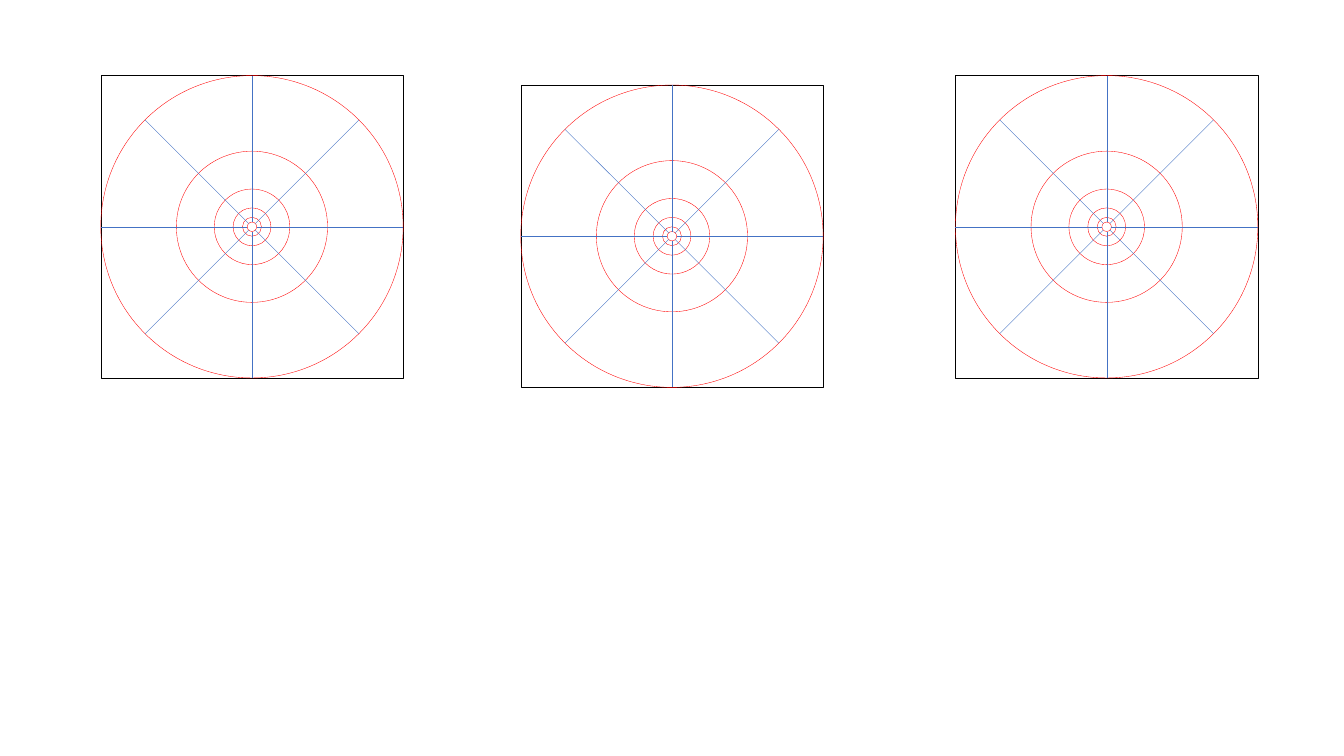
from math import cos, pi, sin

from lxml.etree import SubElement
from pptx import Presentation
from pptx.dml.color import RGBColor
from pptx.enum.shapes import MSO_CONNECTOR, MSO_SHAPE
from pptx.oxml.ns import qn
from pptx.util import Emu, Pt

EMU_PER_PX = 9525
BLACK = RGBColor(0x00, 0x00, 0x00)
WHITE = RGBColor(0xFF, 0xFF, 0xFF)
RED = RGBColor(0xFF, 0x00, 0x00)
BLUE = RGBColor(0x44, 0x72, 0xC4)
HAIRLINE = Pt(0.25)

TARGET_SIZE = 288
TARGET_CORNERS = [(496, 81), (910, 72), (96, 72)]
RING_COUNT = 6  # each ring is half as wide as the one around it
SPOKE_COUNT = 8


def px(length):
    return Emu(round(length * EMU_PER_PX))


def add_outline(target, preset, center_x, center_y, size, color):
    """Centre a square or circle on the given point."""
    outline = target.shapes.add_shape(
        preset, px(center_x - size / 2), px(center_y - size / 2), px(size), px(size))
    outline.shadow.inherit = False
    outline.fill.background()
    outline.line.color.rgb = color
    outline.line.width = HAIRLINE
    return outline


def add_spoke(target, center_x, center_y, outer_radius, inner_radius, angle):
    """Draw a line from the outer ring in to the innermost one."""
    dx, dy = cos(angle), sin(angle)
    spoke = target.shapes.add_connector(
        MSO_CONNECTOR.STRAIGHT,
        px(center_x + outer_radius * dx), px(center_y + outer_radius * dy),
        px(center_x + inner_radius * dx), px(center_y + inner_radius * dy))
    spoke.line.color.rgb = BLUE
    spoke.line.width = HAIRLINE
    SubElement(spoke._element.spPr, qn("a:effectLst"))


def add_target(slide, left, top, size):
    target = slide.shapes.add_group_shape()
    center_x, center_y = left + size / 2, top + size / 2

    # Square frame
    frame = add_outline(target, MSO_SHAPE.RECTANGLE, center_x, center_y, size, BLACK)
    frame.fill.solid()
    frame.fill.fore_color.rgb = WHITE

    # Concentric rings
    diameters = [size / 2 ** step for step in range(RING_COUNT)]
    for diameter in diameters:
        add_outline(target, MSO_SHAPE.OVAL, center_x, center_y, diameter, RED)

    # Spokes
    for step in range(SPOKE_COUNT):
        add_spoke(target, center_x, center_y, diameters[0] / 2, diameters[-1] / 2,
                  2 * pi * step / SPOKE_COUNT)


def main():
    deck = Presentation()
    deck.slide_width, deck.slide_height = px(1280), px(720)
    slide = deck.slides.add_slide(deck.slide_layouts[6])
    for left, top in TARGET_CORNERS:
        add_target(slide, left, top, TARGET_SIZE)
    deck.save("out.pptx")


if __name__ == "__main__":
    main()
